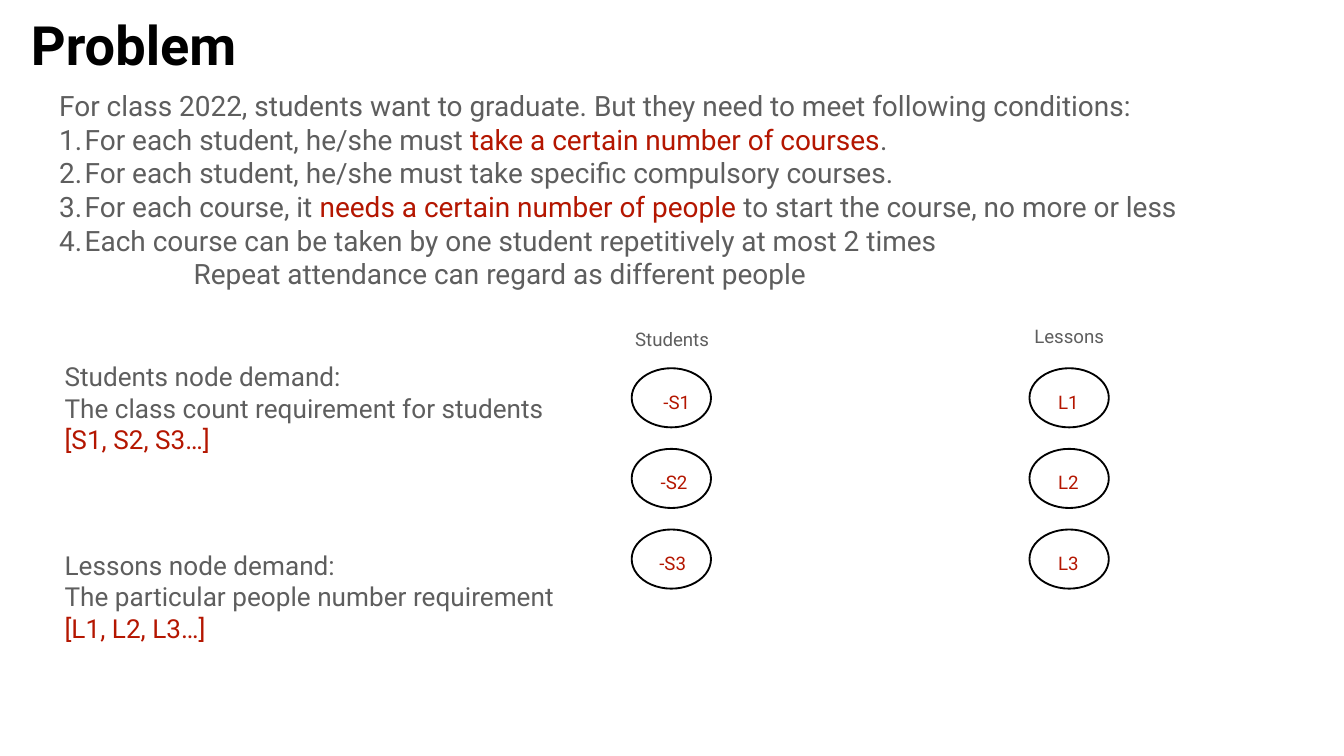
from dataclasses import dataclass

from lxml.etree import SubElement
from pptx import Presentation
from pptx.dml.color import RGBColor
from pptx.enum.shapes import MSO_SHAPE
from pptx.enum.text import MSO_ANCHOR, MSO_AUTO_SIZE, PP_ALIGN
from pptx.oxml.ns import qn
from pptx.slide import Slide
from pptx.util import Inches, Pt

BLACK = RGBColor(0x00, 0x00, 0x00)
GRAY = RGBColor(0x5E, 0x5E, 0x5E)
RED = RGBColor(0xB4, 0x16, 0x00)
FONT = "Roboto"

SLIDE_WIDTH = 10
SLIDE_HEIGHT = SLIDE_WIDTH * 9 / 16
NODE_WIDTH, NODE_HEIGHT = 0.59, 0.44
NODE_TOP, NODE_STEP = 2.74, 0.6
LABEL_HEIGHT, LABEL_OFFSET = 0.24, 0.13


@dataclass
class Box:
    left: float
    top: float
    width: float
    height: float


@dataclass
class Line:
    """A paragraph made of (text, color) runs."""
    runs: list[tuple[str, RGBColor]]
    numbered: bool = False
    indent: float = 0
    space_before: float = 0


@dataclass
class Label:
    text: str
    left: float
    width: float


@dataclass
class NodeColumn:
    left: float
    title: Label
    title_top: float
    labels: list[Label]


CONDITIONS = [
    Line([("For class 2022, students want to graduate. "
           "But they need to meet following conditions:", GRAY)]),
    Line([("For each student, he/she must ", GRAY),
          ("take a certain number of courses", RED), (".", GRAY)], numbered=True),
    Line([("For each student, he/she must take specific compulsory courses.", GRAY)],
         numbered=True),
    Line([("For each course, it ", GRAY),
          ("needs a certain number of people", RED),
          (" to start the course, no more or less", GRAY)], numbered=True),
    Line([("Each course can be taken by one student repetitively at most 2 times", GRAY)],
         numbered=True),
    Line([("Repeat attendance can regard as different people", GRAY)], indent=1),
]

DEMANDS = [
    Line([("Students node demand:", GRAY)]),
    Line([("The class count requirement for students", GRAY)]),
    Line([("[S1, S2, S3…]", RED)]),
    Line([("Lessons node demand:", GRAY)], space_before=50.5),
    Line([("The particular people number requirement", GRAY)]),
    Line([("[L1, L2, L3…]", RED)]),
]

COLUMNS = [
    NodeColumn(4.7, Label("Students", 4.64, 0.72), 2.4,
               [Label("-S1", 4.86, 0.35), Label("-S2", 4.82, 0.39),
                Label("-S3", 4.81, 0.39)]),
    NodeColumn(7.66, Label("Lessons", 7.62, 0.67), 2.38,
               [Label(f"L{number}", 7.82, 0.26) for number in (1, 2, 3)]),
]


def add_text(slide: Slide, box: Box, lines: list[Line], size: float,
             anchor: MSO_ANCHOR = MSO_ANCHOR.MIDDLE,
             alignment: PP_ALIGN = PP_ALIGN.LEFT,
             bold: bool = False, line_spacing: float = 1.0) -> None:
    shape = slide.shapes.add_textbox(Inches(box.left), Inches(box.top),
                                     Inches(box.width), Inches(box.height))
    text_frame = shape.text_frame
    text_frame.word_wrap = True
    text_frame.auto_size = MSO_AUTO_SIZE.SHAPE_TO_FIT_TEXT
    text_frame.vertical_anchor = anchor
    text_frame.margin_left = text_frame.margin_right = Inches(0.04)
    text_frame.margin_top = text_frame.margin_bottom = Inches(0.04)
    text_frame.text = "\n".join("" for _ in lines)
    for paragraph, line in zip(text_frame.paragraphs, lines):
        paragraph.alignment = alignment
        paragraph.line_spacing = line_spacing
        paragraph.space_before = Pt(line.space_before)
        properties = paragraph._p.get_or_add_pPr()
        if line.indent:
            properties.set("marL", str(Inches(line.indent)))
        if line.numbered:
            properties.set("marL", str(Inches(0.19)))
            properties.set("indent", str(Inches(-0.19)))
            SubElement(properties, qn("a:buAutoNum"), type="arabicPeriod")
        for text, color in line.runs:
            run = paragraph.add_run()
            run.text = text
            run.font.name = FONT
            run.font.size = Pt(size)
            run.font.bold = bold
            run.font.color.rgb = color


def add_label(slide: Slide, label: Label, top: float, color: RGBColor) -> None:
    add_text(slide, Box(label.left, top, label.width, LABEL_HEIGHT),
             [Line([(label.text, color)])], 10, alignment=PP_ALIGN.CENTER)


def add_node(slide: Slide, left: float, top: float) -> None:
    node = slide.shapes.add_shape(MSO_SHAPE.OVAL, Inches(left), Inches(top),
                                  Inches(NODE_WIDTH), Inches(NODE_HEIGHT))
    node.shadow.inherit = False
    node.fill.background()
    node.line.color.rgb = BLACK
    node.line.width = Pt(1)


def add_column(slide: Slide, column: NodeColumn) -> None:
    add_label(slide, column.title, column.title_top, GRAY)
    for row, label in enumerate(column.labels):
        top = NODE_TOP + row * NODE_STEP
        add_node(slide, column.left, top)
        add_label(slide, label, top + LABEL_OFFSET, RED)


def main() -> None:
    presentation = Presentation()
    presentation.slide_width = Inches(SLIDE_WIDTH)
    presentation.slide_height = Inches(SLIDE_HEIGHT)
    slide = presentation.slides.add_slide(presentation.slide_layouts[6])

    # Title and conditions
    add_text(slide, Box(0.19, 0.14, 1.78, 0.46), [Line([("Problem", BLACK)])], 29,
             bold=True, line_spacing=0.8)
    add_text(slide, Box(0.4, 0.62, 9.19, 1.74), CONDITIONS, 15, anchor=MSO_ANCHOR.TOP)

    # Node demands
    add_text(slide, Box(0.44, 2.64, 4.12, 2.19), DEMANDS, 14)

    # Student and lesson nodes
    for column in COLUMNS:
        add_column(slide, column)

    presentation.save("out.pptx")


if __name__ == "__main__":
    main()
